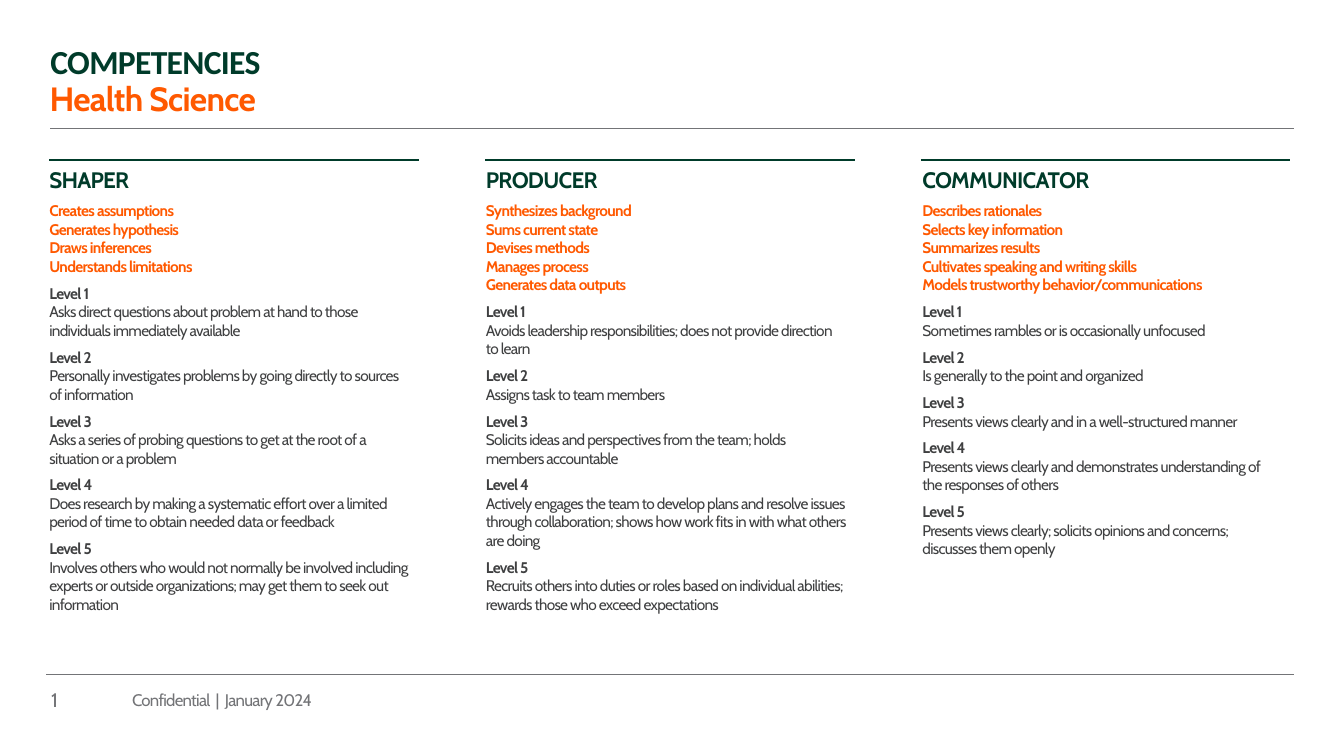
from copy import deepcopy

from lxml import etree
from pptx import Presentation
from pptx.dml.color import RGBColor
from pptx.enum.shapes import MSO_CONNECTOR
from pptx.enum.text import MSO_ANCHOR
from pptx.oxml.ns import qn
from pptx.util import Pt

STRAIGHT = MSO_CONNECTOR.STRAIGHT
TOP = MSO_ANCHOR.TOP
MIDDLE = MSO_ANCHOR.MIDDLE

COLORS = {"green": "003B2A", "orange": "FF5900", "dark": "3F4041", "gray": "737477"}

ROLES = [
    (
        "SHAPER",
        ["Creates assumptions", "Generates hypothesis", "Draws inferences",
         "Understands limitations"],
        ["Asks direct questions about problem at hand to those individuals immediately available",
         "Personally investigates problems by going directly to sources of information",
         "Asks a series of probing questions to get at the root of a situation or a problem",
         "Does research by making a systematic effort over a limited period of time "
         "to obtain needed data or feedback",
         "Involves others who would not normally be involved including experts or "
         "outside organizations; may get them to seek out information"],
    ),
    (
        "PRODUCER",
        ["Synthesizes background", "Sums current state", "Devises methods",
         "Manages process", "Generates data outputs"],
        ["Avoids leadership responsibilities; does not provide direction to learn",
         "Assigns task to team members",
         "Solicits ideas and perspectives from the team; holds members accountable",
         "Actively engages the team to develop plans and resolve issues through "
         "collaboration; shows how work fits in with what others are doing",
         "Recruits others into duties or roles based on individual abilities; "
         "rewards those who exceed expectations"],
    ),
    (
        "COMMUNICATOR",
        ["Describes rationales", "Selects key information", "Summarizes results",
         "Cultivates speaking and writing skills",
         "Models trustworthy behavior/communications"],
        ["Sometimes rambles or is occasionally unfocused",
         "Is generally to the point and organized",
         "Presents views clearly and in a well-structured manner",
         "Presents views clearly and demonstrates understanding of the responses of others",
         "Presents views clearly; solicits opinions and concerns; discusses them openly"],
    ),
]


def add_line(slide, left, right, top, color, width):
    line = slide.shapes.add_connector(STRAIGHT, Pt(left), Pt(top), Pt(right), Pt(top))
    line.line.color.rgb = RGBColor.from_string(COLORS[color])
    line.line.width = Pt(width)
    etree.SubElement(line._element.spPr, qn("a:effectLst"))


def add_box(slide, left, top, width, height, anchor=TOP):
    frame = slide.shapes.add_textbox(Pt(left), Pt(top), Pt(width), Pt(height)).text_frame
    frame.word_wrap = True
    frame.vertical_anchor = anchor
    frame.margin_left = 0
    frame.margin_right = Pt(7.2)
    frame.margin_top = frame.margin_bottom = Pt(3.6)
    return frame


def add_text(para, text, size=11, color="dark", bold=False, font="Cabin"):
    run = para.add_run()
    run.text = text
    run.font.size = Pt(size)
    run.font.name = font
    run.font.bold = bold
    run.font.color.rgb = RGBColor.from_string(COLORS[color])
    run._r.rPr.set("spc", "-50")
    return run


def add_break(para, run):
    para.add_line_break()
    para._p[-1].append(deepcopy(run._r.rPr))


def add_para(frame):
    para = frame.add_paragraph()
    para.space_before = Pt(6)
    return para


def add_role(slide, left, name, skills, levels):
    frame = add_box(slide, left, 115.2, 264.2, 354.2)
    head = frame.paragraphs[0]
    head.space_before = Pt(6)
    add_text(head, name, size=16, color="green", bold=True)

    para = add_para(frame)
    for index, skill in enumerate(skills):
        if index:
            add_break(para, run)
        run = add_text(para, skill, color="orange", bold=True)

    for number, level in enumerate(levels, 1):
        para = add_para(frame)
        add_break(para, add_text(para, f"Level {number}", bold=True))
        add_text(para, level)


def main():
    deck = Presentation()
    deck.slide_width, deck.slide_height = Pt(960), Pt(540)
    slide = deck.slides.add_slide(deck.slide_layouts[6])

    add_line(slide, 36, 924, 91.6, "gray", 1)
    add_line(slide, 33, 924, 481.6, "gray", 0.25)

    for index, role in enumerate(ROLES):
        add_role(slide, 35.3 + 311.8 * index, *role)

    title = add_box(slide, 36, 26, 887, 42.5)
    add_text(title.paragraphs[0], "COMPETENCIES", size=24, color="green",
             bold=True, font="Calibri")
    field = add_box(slide, 35.5, 51.8, 888, 36.7).paragraphs[0]
    field.space_before = Pt(6)
    add_text(field, "Health Science", size=24, color="orange", bold=True)

    page = add_box(slide, 36.5, 481.6, 36, 36, MIDDLE)
    add_text(page.paragraphs[0], "1", size=14, color="gray")
    foot = add_box(slide, 94.3, 481.6, 793.5, 36, MIDDLE)
    add_text(foot.paragraphs[0], "Confidential  |  January 2024", size=12, color="gray")

    for index in range(len(ROLES)):
        left = 35.3 + 311.2 * index
        add_line(slide, left, left + 264, 114.4, "green", 1.5)

    deck.save("out.pptx")


if __name__ == "__main__":
    main()
